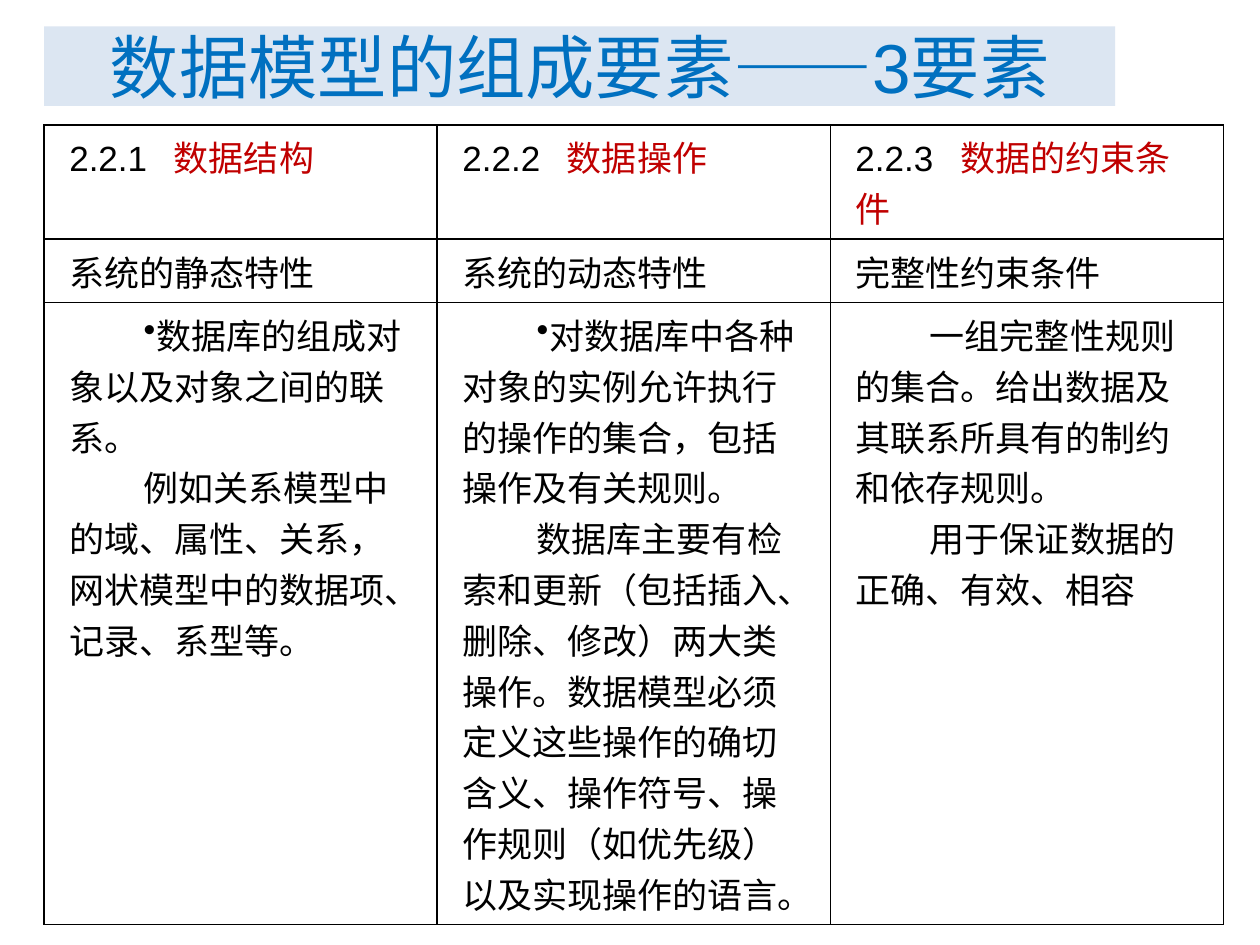
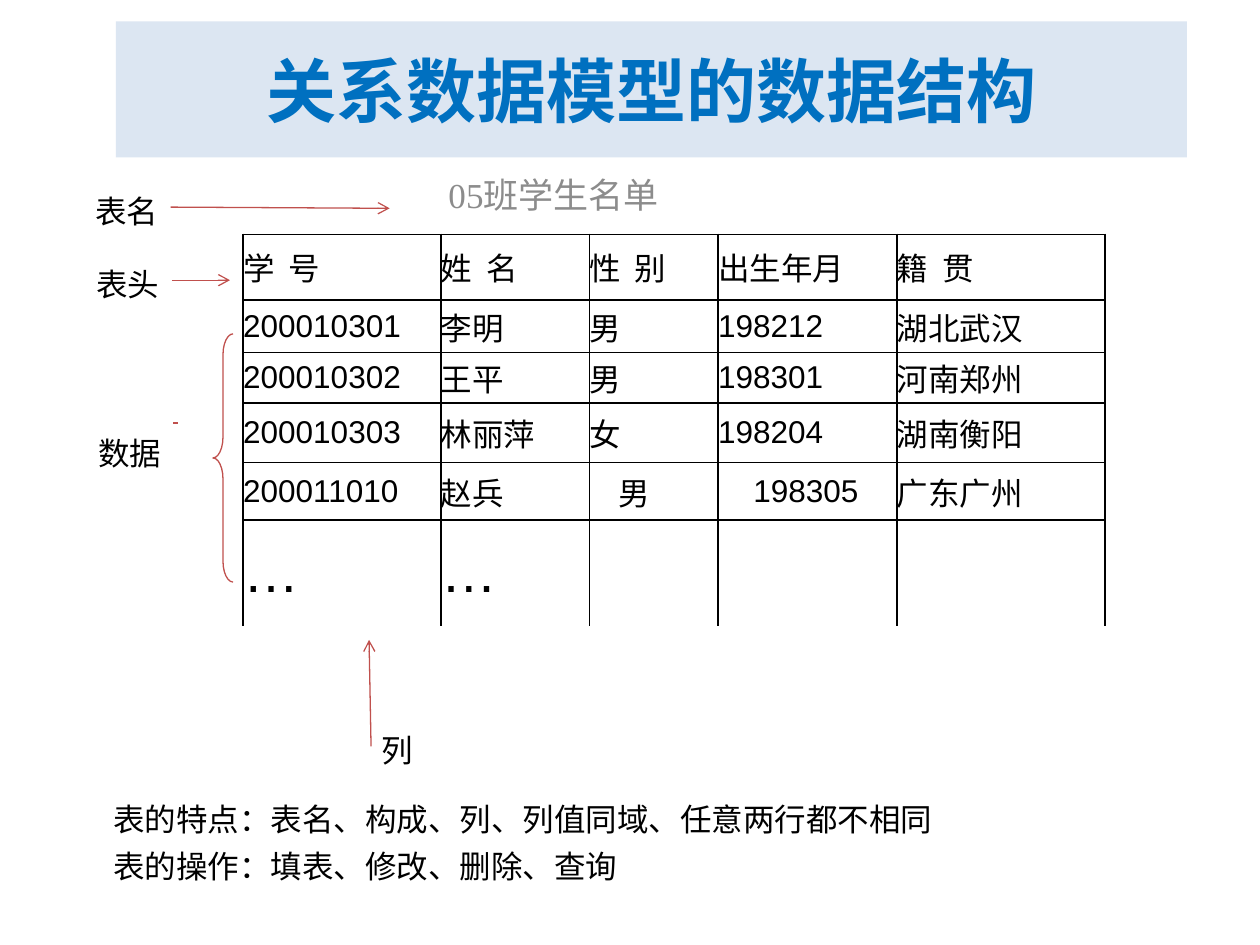
from dataclasses import dataclass

from lxml import etree
from pptx import Presentation
from pptx.dml.color import RGBColor
from pptx.enum import shapes, text
from pptx.oxml.ns import qn
from pptx.util import Inches, Pt

BAND, BLUE, RED = "DCE6F2", "0070C0", "C00000"
BLACK, GREY, MARK = "000000", "8C8C8C", "C0504D"
SANS, SERIF = "Arial", "Times New Roman"
PLAIN = "{2D5ABB26-0587-4C30-8999-92F81FD0307C}"
LEFT, CENTER = text.PP_ALIGN.LEFT, text.PP_ALIGN.CENTER
TOP, MIDDLE = text.MSO_ANCHOR.TOP, text.MSO_ANCHOR.MIDDLE


@dataclass
class Run:
    text: str
    color: str = BLACK
    size: float = 18
    font: str = SANS
    bold: bool = False


@dataclass
class Para:
    runs: list[Run]
    align: text.PP_ALIGN = LEFT
    after: float = 0
    indent: float = 0
    tab: float = 0
    bullet: str = ""


@dataclass
class Label:
    text: str
    box: tuple[float, float, float, float]
    adjust: tuple[float, float, float, float]
    arrow: bool = True
    align: text.PP_ALIGN = CENTER


@dataclass
class Grid:
    at: tuple[float, float]
    cols: list[float]
    rows: list[float]
    cells: list[list[list[Para]]]
    pad: tuple[float, float] = (0, 0)
    anchor: text.MSO_ANCHOR = MIDDLE
    closed: bool = True


def rgb(code: str) -> RGBColor:
    return RGBColor.from_string(code)


def inches(sizes: tuple) -> list:
    return [Inches(size) for size in sizes]


def put(item, values: dict) -> None:
    for name, value in values.items():
        setattr(item, name, value)


def write(frame, paras: list[Para]) -> None:
    for i, para in enumerate(paras):
        p = frame.add_paragraph() if i else frame.paragraphs[0]
        put(p, {"alignment": para.align, "space_after": Pt(para.after)})
        props = p._p.get_or_add_pPr()
        if para.indent:
            props.set("marL", "0")
            props.set("indent", str(Inches(para.indent)))
        if para.bullet:
            etree.SubElement(props, qn("a:buChar"), char=para.bullet)
        if para.tab:
            tabs = etree.SubElement(props, qn("a:tabLst"))
            etree.SubElement(tabs, qn("a:tab"), pos=str(Inches(para.tab)), algn="l")
        for run in para.runs:
            r = p.add_run()
            r.text = run.text
            put(r.font, {"name": run.font, "size": Pt(run.size), "bold": run.bold})
            r.font.color.rgb = rgb(run.color)


def frame_up(frame, anchor: text.MSO_ANCHOR, pad: float = 0) -> None:
    """Set wrapping, anchor and equal margins of a text frame."""
    put(frame, {"word_wrap": True, "auto_size": text.MSO_AUTO_SIZE.NONE,
                "vertical_anchor": anchor})
    for side in ("left", "top", "right", "bottom"):
        setattr(frame, f"margin_{side}", Inches(pad))


def add_page(deck, box: tuple, run: Run):
    """Add a slide with its title on the pale band."""
    slide = deck.slides.add_slide(deck.slide_layouts[5])
    title = slide.shapes.title
    put(title, dict(zip(("left", "top", "width", "height"), inches(box))))
    title.fill.solid()
    title.fill.fore_color.rgb = rgb(BAND)
    frame_up(title.text_frame, MIDDLE, 0.05)
    write(title.text_frame, [Para([run], CENTER)])
    return slide


def add_text(slide, box: tuple, paras: list[Para]) -> None:
    frame = slide.shapes.add_textbox(*inches(box)).text_frame
    frame_up(frame, TOP)
    write(frame, paras)


def add_mark(slide, kind: shapes.MSO_SHAPE, box: tuple, adjust: tuple):
    """Add an unfilled red outline shape."""
    shape = slide.shapes.add_shape(kind, *inches(box))
    shape.shadow.inherit = False
    shape.fill.background()
    shape.line.color.rgb = rgb(MARK)
    shape.line.width = Pt(0.75)
    for i, value in enumerate(adjust):
        shape.adjustments[i] = value
    return shape


def add_label(slide, label: Label) -> None:
    kind = shapes.MSO_SHAPE.LINE_CALLOUT_1_NO_BORDER
    shape = add_mark(slide, kind, label.box, label.adjust)
    if label.arrow:
        etree.SubElement(shape.line._get_or_add_ln(), qn("a:tailEnd"), type="arrow")
    frame_up(shape.text_frame, MIDDLE)
    write(shape.text_frame, [Para([Run(label.text, font=SERIF)], label.align)])


def edge(cell, sides: str) -> None:
    """Draw black one-point borders on the given sides."""
    props = cell._tc.get_or_add_tcPr()
    for side in sides:
        line = etree.SubElement(props, qn(f"a:ln{side}"), w=str(Pt(1)))
        fill = etree.SubElement(line, qn("a:solidFill"))
        etree.SubElement(fill, qn("a:srgbClr"), val=BLACK)


def add_grid(slide, grid: Grid) -> None:
    size = inches((*grid.at, sum(grid.cols), sum(grid.rows)))
    table = slide.shapes.add_table(len(grid.rows), len(grid.cols), *size).table
    put(table, {"first_row": False, "horz_banding": False})
    table._tbl.tblPr.find(qn("a:tableStyleId")).text = PLAIN
    for col, width in zip(table.columns, grid.cols):
        col.width = Inches(width)
    side, end = inches(grid.pad)
    look = {"margin_left": side, "margin_right": side, "margin_top": end,
            "margin_bottom": end, "vertical_anchor": grid.anchor}
    for i, (height, row) in enumerate(zip(grid.rows, grid.cells)):
        table.rows[i].height = Inches(height)
        last = i == len(grid.rows) - 1
        for j, paras in enumerate(row):
            cell = table.cell(i, j)
            put(cell, look)
            edge(cell, "LRT" if last and not grid.closed else "LRTB")
            cell.fill.background()
            write(cell.text_frame, paras)


def parts_page(deck) -> None:
    slide = add_page(deck, (0.35, 0.21, 8.5, 0.63),
                     Run("数据模型的组成要素——3要素", BLUE, 39.6))
    names = ["数据结构", "数据操作", "数据的约束条件"]
    traits = ["系统的静态特性", "系统的动态特性", "完整性约束条件"]
    notes = [
        ("•", "数据库的组成对象以及对象之间的联系。",
         "例如关系模型中的域、属性、关系，网状模型中的数据项、记录、系型等。"),
        ("•", "对数据库中各种对象的实例允许执行的操作的集合，包括操作及有关规则。",
         "数据库主要有检索和更新（包括插入、删除、修改）两大类操作。"
         "数据模型必须定义这些操作的确切含义、操作符号、操作规则（如优先级）"
         "以及实现操作的语言。"),
        ("", "一组完整性规则的集合。给出数据及其联系所具有的制约和依存规则。",
         "用于保证数据的正确、有效、相容"),
    ]
    heads = [[Para([Run(f"2.2.{i}\t", size=20), Run(name, RED, 20)], tab=0.83)]
             for i, name in enumerate(names, 1)]
    kinds = [[Para([Run(trait, size=20)])] for trait in traits]
    bodies = [[Para([Run(first, size=20)], indent=0.59, bullet=dot),
               Para([Run(second, size=20)], indent=0.59)]
              for dot, first, second in notes]
    add_grid(slide, Grid((0.35, 0.99), [3.12] * 3, [0.43, 0.43, 4.92],
                         [heads, kinds, bodies], (0.2, 0.05), TOP))


def roll_page(deck) -> None:
    slide = add_page(deck, (0.92, 0.17, 8.5, 1.08),
                     Run("关系数据模型的数据结构", BLUE, 40, bold=True))
    add_text(slide, (3.56, 1.38, 2.5, 0.5),
             [Para([Run("05班学生名单", GREY, 20, SERIF)])])
    roll = [
        ["学\t号", "姓\t名", "性\t别", "出生年月", "籍\t贯"],
        ["200010301", "李明", "男", "198212", "湖北武汉"],
        ["200010302", "王平", "男", "198301", "河南郑州"],
        ["200010303", "林丽萍", "女", "198204", "湖南衡阳"],
        ["200011010", "赵兵", "男", "198305", "广东广州"],
        ["…", "…", "", "", ""],
    ]
    shifts = {(4, 2): 0.23, (4, 3): 0.28}
    cells = [[[Para([Run(word, size=32 if word == "…" else 18)] if word else [],
                    indent=shifts.get((i, j), 0), tab=0 if i else 0.36)]
              for j, word in enumerate(row)] for i, row in enumerate(roll)]
    add_grid(slide, Grid((1.93, 1.86), [1.57, 1.18, 1.02, 1.42, 1.65],
                         [0.52, 0.42, 0.4, 0.47, 0.46, 0.84], cells, closed=False))
    labels = [
        Label("表名", (0.74, 1.52, 0.53, 0.31), (0.4, 1.16, 0.43, 4.44)),
        Label("表头", (0.75, 2.1, 0.53, 0.31), (0.4, 1.16, 0.4, 2.03)),
        Label("列", (3.03, 5.8, 0.53, 0.31), (0.4, -0.16, -2.33, -0.19), align=LEFT),
        Label("数据", (0.53, 3.44, 1, 0.31), (-0.27, 0.88, -0.27, 0.84), arrow=False),
    ]
    for label in labels:
        add_label(slide, label)
    add_mark(slide, shapes.MSO_SHAPE.LEFT_BRACE, (1.69, 2.65, 0.16, 1.97), (1.04, 0.5))
    lines = ["表的特点：表名、构成、列、列值同域、任意两行都不相同",
             "表的操作：填表、修改、删除、查询"]
    add_text(slide, (0.9, 6.35, 7.32, 0.75),
             [Para([Run(line, font=SERIF)], after=5) for line in lines])


def main() -> None:
    deck = Presentation()
    put(deck, {"slide_width": Inches(10), "slide_height": Inches(7.5)})
    parts_page(deck)
    roll_page(deck)
    deck.save("out.pptx")


if __name__ == "__main__":
    main()
